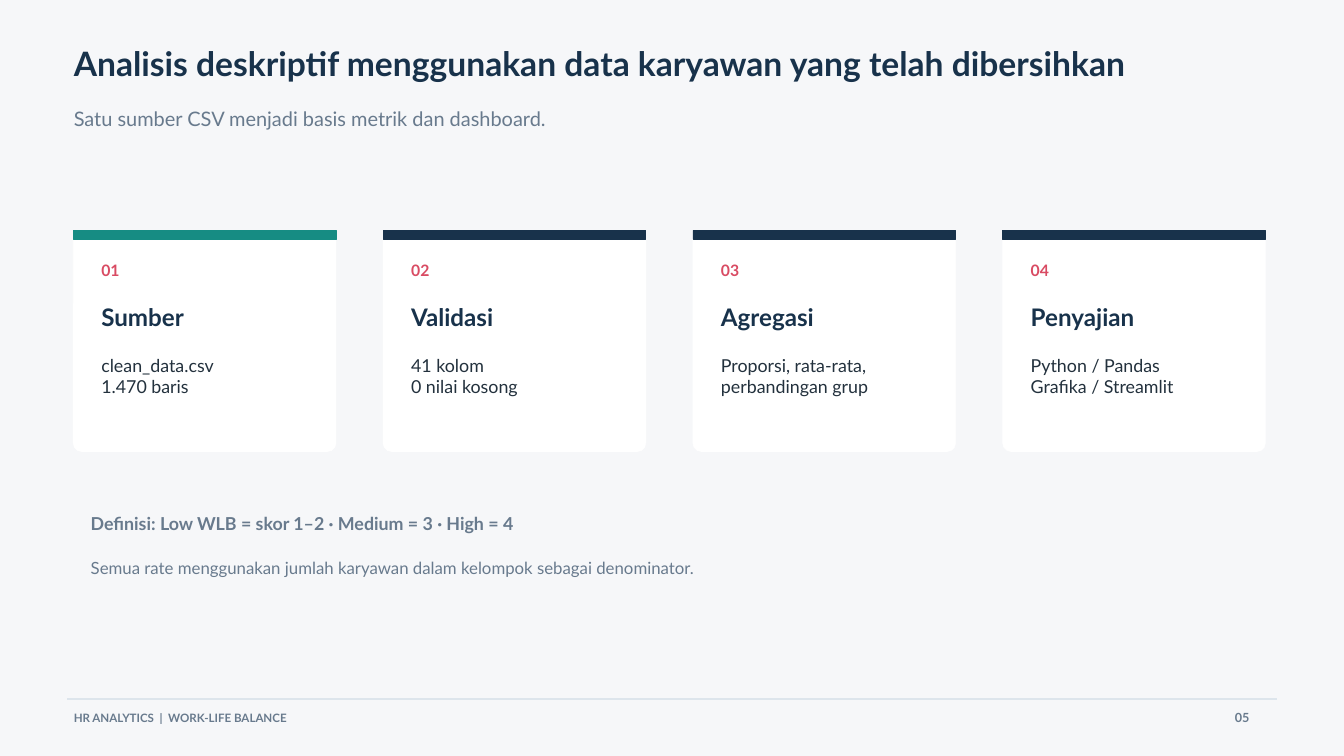
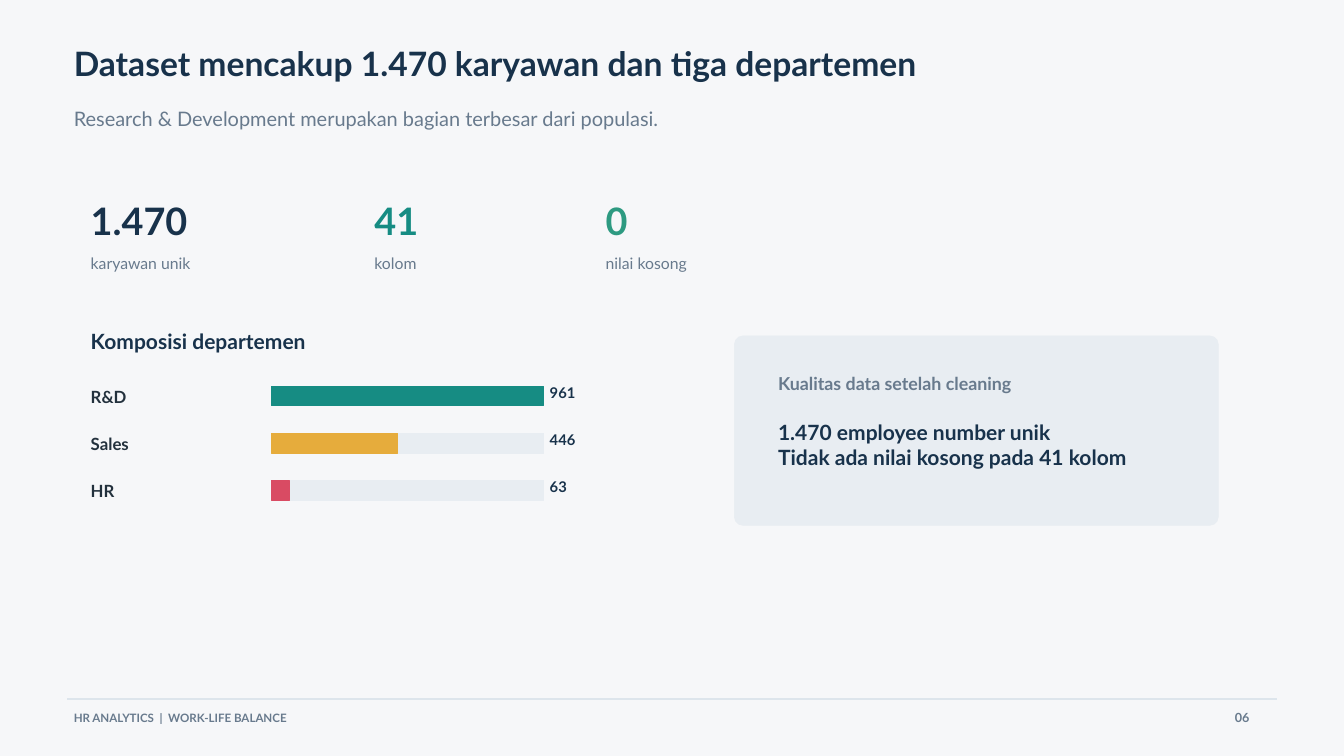
from pptx import Presentation
from pptx.dml.color import RGBColor
from pptx.enum.shapes import MSO_CONNECTOR, MSO_SHAPE
from pptx.enum.text import MSO_AUTO_SIZE
from pptx.oxml.ns import qn
from pptx.util import Cm, Pt
from lxml.etree import SubElement


class Theme:
    font = "Lato"
    leading = 1.2
    corner = 0.32

    paper = RGBColor.from_string("F6F7F9")
    white = RGBColor.from_string("FFFFFF")
    navy = RGBColor.from_string("18324B")
    ink = RGBColor.from_string("23313D")
    slate = RGBColor.from_string("687A8D")
    mist = RGBColor.from_string("E8EDF2")
    rule = RGBColor.from_string("DDE5EC")
    teal = RGBColor.from_string("168C83")
    green = RGBColor.from_string("2D9A81")
    amber = RGBColor.from_string("E6AC3C")
    red = RGBColor.from_string("D94B63")

    title = 36
    subtitle = 21.4
    metric = 40.5
    card_heading = 25.9
    heading = 22.5
    body = 19.1
    label = 18
    caption = 16.9
    value = 15.8
    page_number = 13.5
    footer = 12.4


def write(slide, lines, left, top, width, height, size, color, bold=False):
    """Add a text box, in centimetres, with one paragraph per line."""
    box = slide.shapes.add_textbox(Cm(left), Cm(top), Cm(width), Cm(height))
    frame = box.text_frame
    frame.word_wrap = True
    frame.auto_size = MSO_AUTO_SIZE.SHAPE_TO_FIT_TEXT
    frame.margin_left = frame.margin_right = 0
    frame.margin_top = frame.margin_bottom = 0
    for index, line in enumerate(lines):
        paragraph = frame.add_paragraph() if index else frame.paragraphs[0]
        paragraph.line_spacing = Pt(size * Theme.leading)
        run = paragraph.add_run()
        run.text = line
        run.font.name = Theme.font
        run.font.size = Pt(size)
        run.font.bold = bold
        run.font.color.rgb = color


def block(slide, left, top, width, height, color, rounded=False):
    """Add a flat rectangle, in centimetres, outlined in its own colour."""
    kind = MSO_SHAPE.ROUNDED_RECTANGLE if rounded else MSO_SHAPE.RECTANGLE
    shape = slide.shapes.add_shape(kind, Cm(left), Cm(top), Cm(width), Cm(height))
    if rounded:
        shape.adjustments[0] = Theme.corner / min(width, height)
    shape.shadow.inherit = False
    shape.fill.solid()
    shape.fill.fore_color.rgb = color
    shape.line.color.rgb = color
    shape.line.width = Pt(0.56)


deck = Presentation()
deck.slide_width = Cm(50.8)
deck.slide_height = Cm(28.58)
deck.slide_master.background.fill.solid()
deck.slide_master.background.fill.fore_color.rgb = Theme.paper

# Title, subtitle and footer on every slide
pages = [
    ("05", "Analisis deskriptif menggunakan data karyawan yang telah dibersihkan",
     "Satu sumber CSV menjadi basis metrik dan dashboard."),
    ("06", "Dataset mencakup 1.470 karyawan dan tiga departemen",
     "Research & Development merupakan bagian terbesar dari populasi."),
]
slides = []
for number, title, subtitle in pages:
    slide = deck.slides.add_slide(deck.slide_layouts[6])
    write(slide, [title], 2.79, 1.63, 44.73, 2.06, Theme.title, Theme.navy, bold=True)
    write(slide, [subtitle], 2.79, 4.04, 44.35, 1.78, Theme.subtitle, Theme.slate)
    footer_rule = slide.shapes.add_connector(
        MSO_CONNECTOR.STRAIGHT, Cm(2.54), Cm(26.42), Cm(48.26), Cm(26.42))
    footer_rule.line.color.rgb = Theme.rule
    footer_rule.line.width = Pt(2)
    SubElement(footer_rule.element.spPr, qn("a:effectLst"))
    write(slide, ["HR ANALYTICS  |  WORK-LIFE BALANCE"], 2.79, 26.87, 25.3, 0.71,
          Theme.footer, Theme.slate, bold=True)
    write(slide, [number], 46.68, 26.85, 1.4, 0.74,
          Theme.page_number, Theme.slate, bold=True)
    slides.append(slide)
process_slide, dataset_slide = slides

# Four process steps
steps = [
    ("Sumber", ["clean_data.csv", "1.470 baris"], Theme.teal),
    ("Validasi", ["41 kolom", "0 nilai kosong"], Theme.navy),
    ("Agregasi", ["Proporsi, rata-rata,", "perbandingan grup"], Theme.navy),
    ("Penyajian", ["Python / Pandas", "Grafika / Streamlit"], Theme.navy),
]
for index, (step, details, accent) in enumerate(steps):
    card_left = 2.77 + index * 11.71
    inner_left = card_left + 1.06
    block(process_slide, card_left, 8.71, 9.93, 8.36, Theme.white, rounded=True)
    block(process_slide, card_left, 8.71, 9.93, 0.34, accent)
    write(process_slide, [f"{index + 1:02d}"], inner_left, 9.86, 1.47, 0.89,
          Theme.caption, Theme.red, bold=True)
    write(process_slide, [step], inner_left, 11.43, 7.82, 1.09,
          Theme.card_heading, Theme.navy, bold=True)
    write(process_slide, details, inner_left, 13.41, 7.82, 2.44, Theme.body, Theme.ink)

write(process_slide, ["Definisi: Low WLB = skor 1–2 · Medium = 3 · High = 4"],
      3.43, 19.38, 43.15, 0.94, Theme.body, Theme.slate, bold=True)
write(process_slide,
      ["Semua rate menggunakan jumlah karyawan dalam kelompok sebagai denominator."],
      3.43, 21.08, 43.15, 0.94, Theme.label, Theme.slate)

# Key figures of the dataset
metrics = [
    ("1.470", "karyawan unik", 3.43, 8.61, Theme.navy),
    ("41", "kolom", 14.15, 6.63, Theme.teal),
    ("0", "nilai kosong", 22.89, 6.63, Theme.green),
]
for figure, meaning, left, width, color in metrics:
    write(dataset_slide, [figure], left, 7.49, width, 1.93, Theme.metric, color, bold=True)
    write(dataset_slide, [meaning], left, 9.58, width, 1.68, Theme.caption, Theme.slate)

# Headcount bars, scaled to the largest department
write(dataset_slide, ["Komposisi departemen"], 3.43, 12.42, 17.35, 0.94,
      Theme.heading, Theme.navy, bold=True)
departments = [
    ("R&D", 961, Theme.teal),
    ("Sales", 446, Theme.amber),
    ("HR", 63, Theme.red),
]
track_width = 10.28
largest = max(headcount for _, headcount, _ in departments)
for index, (department, headcount, color) in enumerate(departments):
    row_top = 14.6 + index * 1.78
    write(dataset_slide, [department], 3.43, row_top + 0.02, 6.58, 0.79,
          Theme.label, Theme.ink, bold=True)
    block(dataset_slide, 10.26, row_top, track_width, 0.74, Theme.mist)
    block(dataset_slide, 10.26, row_top, track_width * headcount / largest, 0.74, color)
    write(dataset_slide, [str(headcount)], 20.78, row_top - 0.1, 3.23, 0.86,
          Theme.value, Theme.navy, bold=True)

# Data quality panel
block(dataset_slide, 27.76, 12.7, 18.29, 7.16, Theme.mist, rounded=True)
write(dataset_slide, ["Kualitas data setelah cleaning"], 29.41, 14.1, 14.96, 0.86,
      Theme.body, Theme.slate, bold=True)
write(dataset_slide,
      ["1.470 employee number unik", "Tidak ada nilai kosong pada 41 kolom"],
      29.41, 15.85, 14.96, 2.51, Theme.heading, Theme.navy, bold=True)

deck.save("out.pptx")
